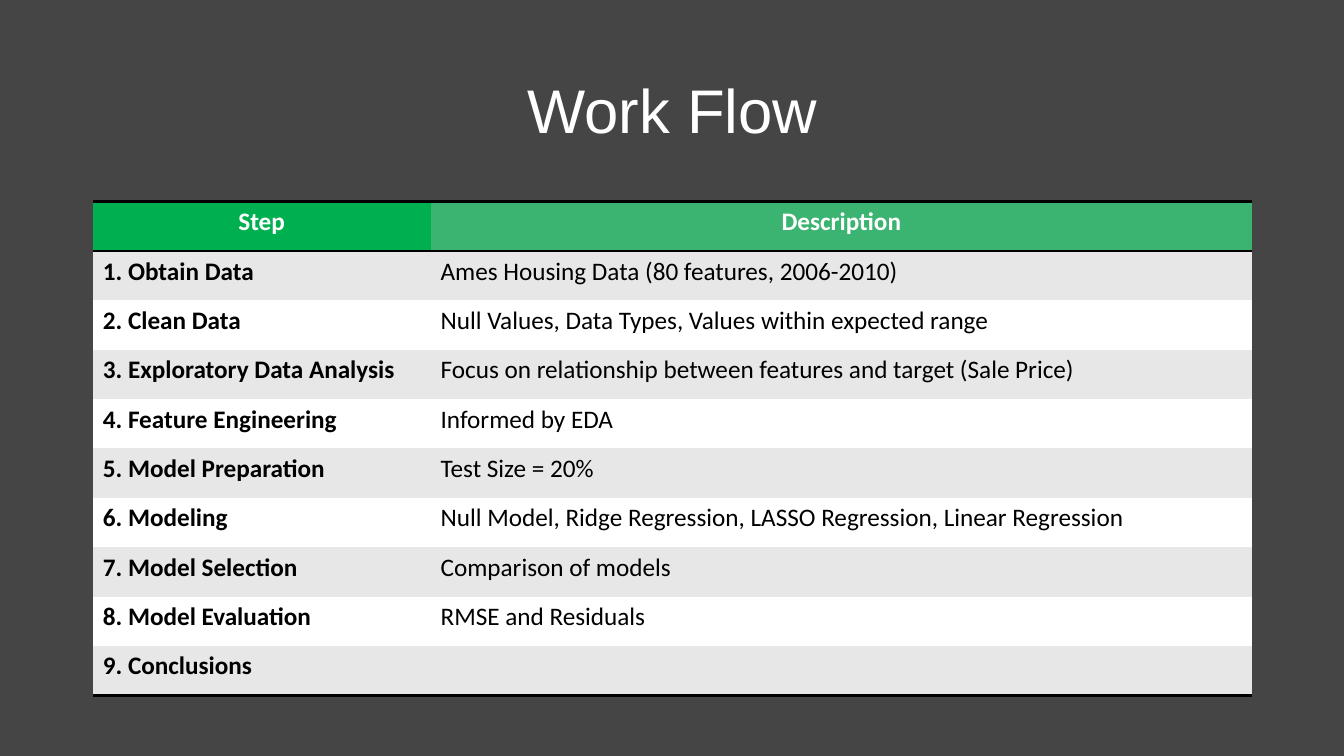
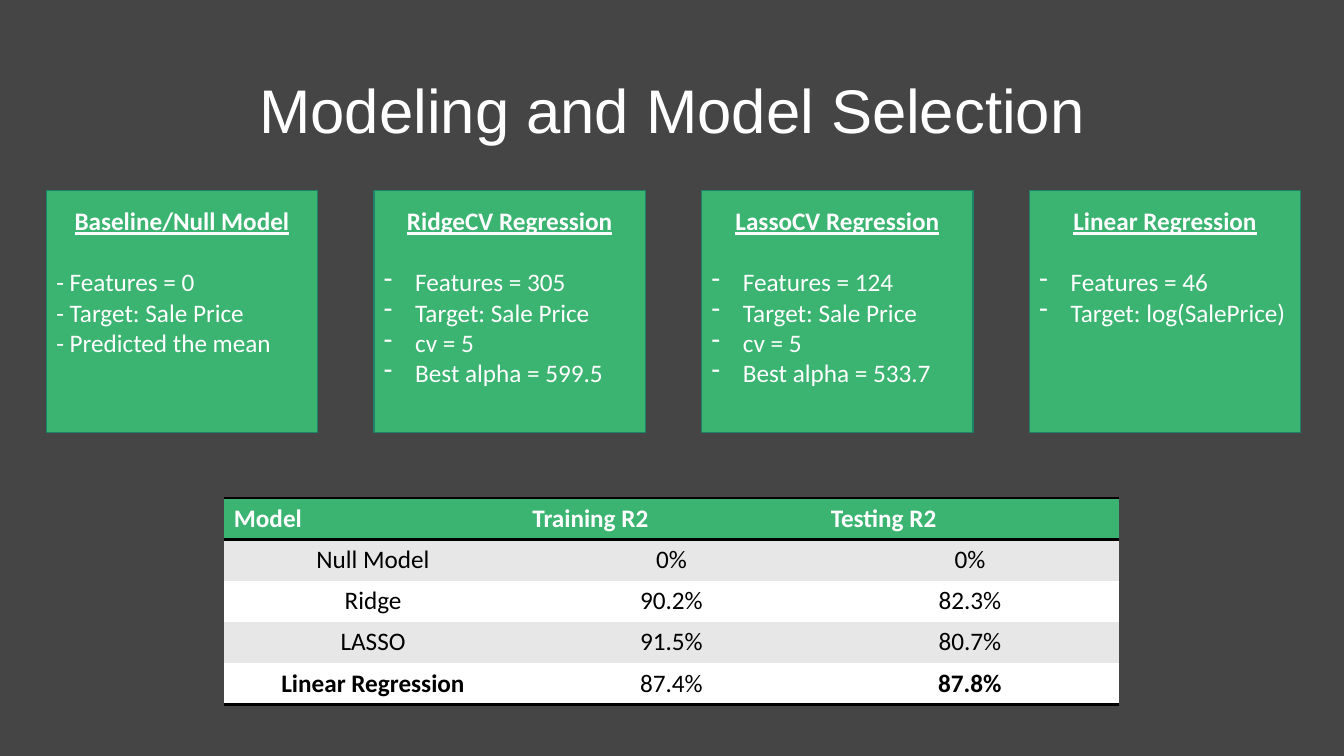
from lxml.etree import SubElement
from pptx import Presentation
from pptx.dml.color import RGBColor
from pptx.enum.shapes import MSO_SHAPE
from pptx.enum.text import MSO_ANCHOR, PP_ALIGN
from pptx.oxml import parse_xml
from pptx.oxml.ns import nsdecls, qn
from pptx.util import Inches, Pt

GREEN, BRIGHT_GREEN, EDGE_GREEN = "3CB471", "00B050", "1E8168"
SLATE, WHITE, GRAY, BLACK = "454545", "FFFFFF", "E7E7E7", "000000"
PLAIN_TABLE = "{2D5ABB26-0587-4C30-8999-92F81FD0307C}"
BODY_FONT, BODY_SIZE = "Calibri", Pt(18)


def color(code):
    return RGBColor.from_string(code)


def draw_table(page, rows, left, top, widths, row_height, header_align, body_align, bold_cells):
    frame = page.shapes.add_table(
        len(rows), len(widths), Inches(left), Inches(top),
        Inches(sum(widths)), Inches(row_height * len(rows)))
    table = frame.table
    next(frame._element.iter(qn("a:tableStyleId"))).text = PLAIN_TABLE
    for column, width in zip(table.columns, widths):
        column.width = Inches(width)
    for row_index, row in enumerate(rows):
        table.rows[row_index].height = Inches(row_height)
        header, last = row_index == 0, row_index == len(rows) - 1
        for column_index, text in enumerate(row):
            cell = table.cell(row_index, column_index)
            cell.fill.solid()
            stripe = GRAY if row_index % 2 else WHITE
            cell.fill.fore_color.rgb = color(GREEN if header else stripe)
            edges = ["lnT"] * header + ["lnB"] * (header or last)
            for position, edge in enumerate(edges):
                cell._tc.get_or_add_tcPr().insert(position, parse_xml(
                    f'<a:{edge} {nsdecls("a")} w="{Pt(2)}"><a:solidFill>'
                    f'<a:srgbClr val="{BLACK}"/></a:solidFill></a:{edge}>'))
            para = cell.text_frame.paragraphs[0]
            para.alignment = header_align if header else body_align
            if text:
                span = para.add_run()
                span.text = text
                span.font.name, span.font.size = BODY_FONT, BODY_SIZE
                span.font.bold = header or (row_index, column_index) in bold_cells
                span.font.color.rgb = color(WHITE if header else BLACK)
    return table


deck = Presentation()
deck.slide_width, deck.slide_height = Inches(13.33), Inches(7.5)
deck.slide_master.background.fill.solid()
deck.slide_master.background.fill.fore_color.rgb = color(SLATE)

pages = []
for title_text in ["Work Flow", "Modeling and Model Selection"]:
    page = deck.slides.add_slide(deck.slide_layouts[5])
    title = page.shapes.title
    title.left, title.top = Inches(0.92), Inches(0.4)
    title.width, title.height = Inches(11.5), Inches(1.45)
    title.text_frame.vertical_anchor = MSO_ANCHOR.MIDDLE
    para = title.text_frame.paragraphs[0]
    para.alignment, para.line_spacing = PP_ALIGN.CENTER, 0.9
    span = para.add_run()
    span.text = title_text
    span.font.name, span.font.size = "Arial", Pt(44)
    span.font.color.rgb = color(WHITE)
    pages.append(page)
flow_page, model_page = pages

steps = [
    ("Step", "Description"),
    ("1. Obtain Data", "Ames Housing Data (80 features, 2006-2010)"),
    ("2. Clean Data", "Null Values, Data Types, Values within expected range"),
    ("3. Exploratory Data Analysis",
     "Focus on relationship between features and target (Sale Price)"),
    ("4. Feature Engineering", "Informed by EDA"),
    ("5. Model Preparation", "Test Size = 20%"),
    ("6. Modeling", "Null Model, Ridge Regression, LASSO Regression, Linear Regression"),
    ("7. Model Selection", "Comparison of models"),
    ("8. Model Evaluation", "RMSE and Residuals"),
    ("9. Conclusions", ""),
]
step_names = [(row, 0) for row in range(1, len(steps))]
flow_table = draw_table(flow_page, steps, 0.92, 2, [3.35, 8.15], 0.49,
                        PP_ALIGN.CENTER, PP_ALIGN.LEFT, step_names)
flow_table.cell(0, 0).fill.fore_color.rgb = color(BRIGHT_GREEN)

cards = [
    ("Baseline/Null Model", False,
     ["- Features = 0", "- Target: Sale Price", "- Predicted the mean"]),
    ("RidgeCV Regression", True,
     ["Features = 305", "Target: Sale Price", "cv = 5", "Best alpha = 599.5"]),
    ("LassoCV Regression", True,
     ["Features = 124", "Target: Sale Price", "cv = 5", "Best alpha = 533.7"]),
    ("Linear Regression", True, ["Features = 46", "Target: log(SalePrice)"]),
]
card_left, card_pitch, card_width = 0.46, 3.25, 2.69
for card_index, (heading, bulleted, facts) in enumerate(cards):
    box = model_page.shapes.add_shape(
        MSO_SHAPE.RECTANGLE, Inches(card_left + card_index * card_pitch), Inches(1.89),
        Inches(card_width), Inches(2.4))
    box.shadow.inherit = False
    box.fill.solid()
    box.fill.fore_color.rgb = color(GREEN)
    box.line.color.rgb = color(EDGE_GREEN)
    box.line.width = Pt(1)
    frame = box.text_frame
    frame.word_wrap = True
    frame.vertical_anchor = MSO_ANCHOR.TOP
    frame.margin_top = Inches(0.15)
    for line_index, text in enumerate([heading] + facts):
        is_heading = line_index == 0
        para = frame.paragraphs[0] if is_heading else frame.add_paragraph()
        para.alignment = PP_ALIGN.CENTER if is_heading else PP_ALIGN.LEFT
        if is_heading:
            para.space_after = Pt(22)
        elif bulleted:
            properties = para._p.get_or_add_pPr()
            properties.set("marL", str(Inches(0.31)))
            properties.set("indent", str(-Inches(0.31)))
            SubElement(properties, qn("a:buChar")).set("char", "-")
        span = para.add_run()
        span.text = text
        span.font.name, span.font.size = BODY_FONT, BODY_SIZE
        span.font.bold = span.font.underline = is_heading
        span.font.color.rgb = color(WHITE)

scores = [
    ("Model", "Training R2", "Testing R2"),
    ("Null Model", "0%", "0%"),
    ("Ridge", "90.2%", "82.3%"),
    ("LASSO", "91.5%", "80.7%"),
    ("Linear Regression", "87.4%", "87.8%"),
]
draw_table(model_page, scores, 2.22, 4.94, [2.96] * 3, 0.41,
           PP_ALIGN.LEFT, PP_ALIGN.CENTER, [(4, 0), (4, 2)])

deck.save("out.pptx")
